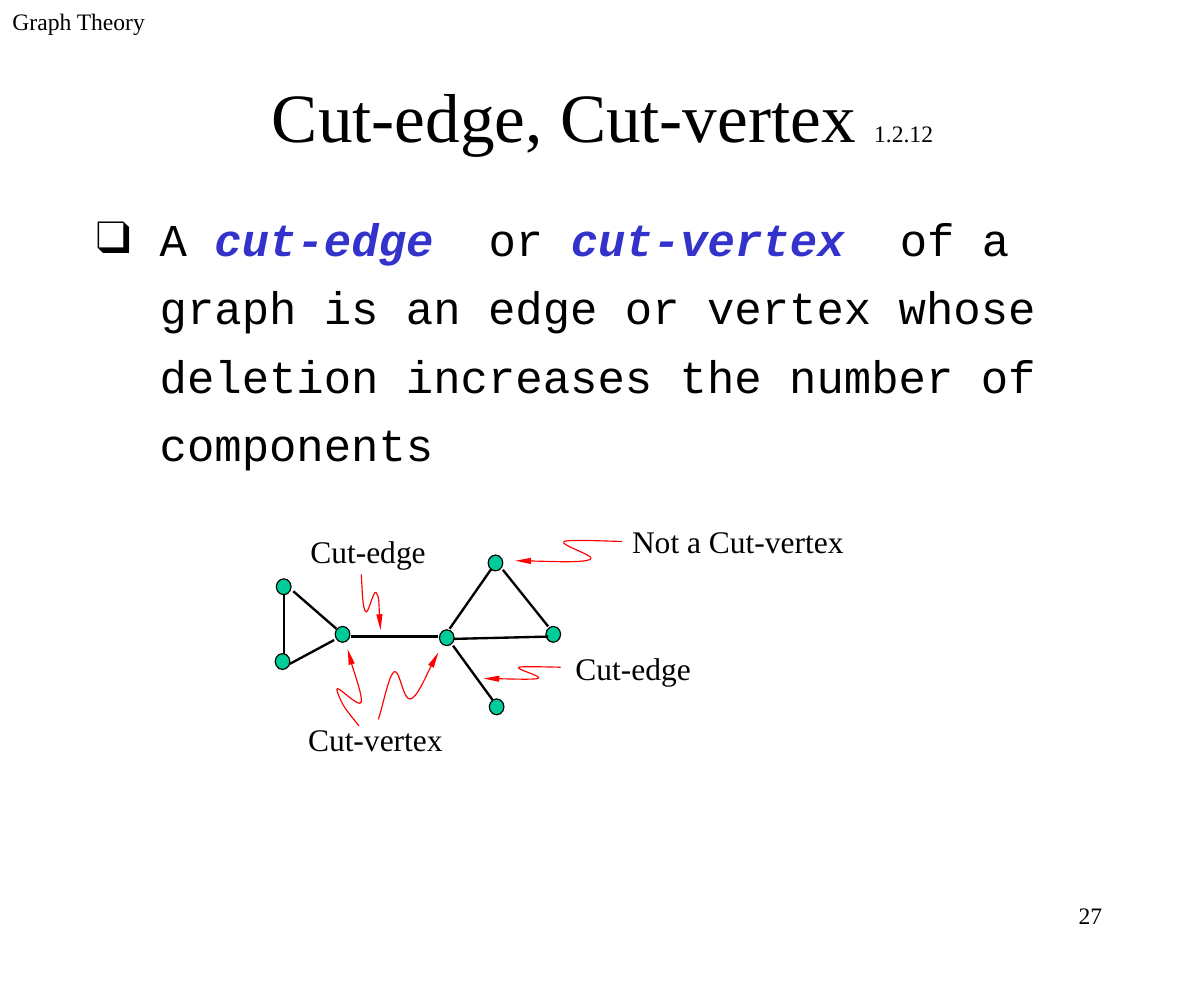
"""Build the slide that defines cut-edges and cut-vertices of a graph."""
import dataclasses

import lxml.etree
import pptx
import pptx.dml.color
import pptx.enum.shapes
import pptx.enum.text
import pptx.oxml.ns
import pptx.util

Inches = pptx.util.Inches
Pt = pptx.util.Pt
Align = pptx.enum.text.PP_ALIGN
Anchor = pptx.enum.text.MSO_ANCHOR
qn = pptx.oxml.ns.qn


@dataclasses.dataclass(frozen=True)
class Theme:
    ink: str = "000000"
    term: str = "3333CC"
    vertex: str = "00CC99"
    pointer: str = "FF0000"
    serif: str = "Times New Roman"
    mono: str = "Courier New"
    title: int = 44
    body: int = 29
    label: int = 20
    small: int = 15
    edge_width: float = 1.5
    thin_width: float = 0.75


THEME = Theme()

VERTICES = [(2.44, 5.11), (2.43, 5.77), (2.96, 5.53), (3.88, 5.56),
            (4.31, 4.9), (4.82, 5.53), (4.32, 6.17)]
EDGES = [
    ((2.51, 5.24), (2.51, 5.77)),
    ((2.59, 5.22), (2.97, 5.55)),
    ((2.56, 5.86), (2.95, 5.65)),
    ((3.1, 5.62), (3.87, 5.62)),
    ((4.34, 5.02), (3.97, 5.55)),
    ((4, 5.7), (4.35, 6.18)),
    ((4.44, 5.03), (4.84, 5.53)),
    ((4.01, 5.64), (4.84, 5.62)),
]
LABELS = [
    ("Not a Cut-vertex", (5.47, 4.55, 2.18, 0.44)),
    ("Cut-edge", (2.63, 4.64, 1.66, 0.44)),
    ("Cut-edge", (4.97, 5.67, 1.67, 0.44)),
    ("Cut-vertex", (2.61, 6.3, 1.66, 0.44)),
]
POINTERS = [
    [(3.19, 5.07), (3.2, 5.22), (3.2, 5.37), (3.23, 5.4), (3.25, 5.43),
     (3.3, 5.2), (3.32, 5.23), (3.35, 5.26), (3.35, 5.5), (3.36, 5.56)],
    [(4.95, 5.89), (4.89, 5.89), (4.61, 5.88), (4.58, 5.89), (4.55, 5.91),
     (4.8, 5.97), (4.75, 5.99), (4.7, 6), (4.37, 5.99), (4.27, 5.99)],
    [(3.17, 6.41), (3.15, 6.38), (3.08, 6.3), (3.04, 6.24), (3.01, 6.19),
     (2.96, 6.08), (2.98, 6.08), (3, 6.07), (3.17, 6.25), (3.19, 6.2),
     (3.2, 6.14), (3.09, 5.83), (3.07, 5.73)],
    [(3.34, 6.35), (3.37, 6.28), (3.43, 5.96), (3.48, 5.93), (3.53, 5.9),
     (3.56, 6.2), (3.63, 6.17), (3.69, 6.14), (3.82, 5.84), (3.87, 5.76)],
    [(5.49, 4.78), (5.41, 4.78), (5.03, 4.76), (4.98, 4.78), (4.93, 4.81),
     (5.28, 4.91), (5.21, 4.94), (5.14, 4.97), (4.69, 4.95), (4.55, 4.95)],
]


def rgb(code):
    return pptx.dml.color.RGBColor.from_string(code)


def set_line(line, color, width):
    line.color.rgb = rgb(color)
    line.width = Pt(width)


def add_bullet(paragraph, mark):
    properties = paragraph._p.get_or_add_pPr()
    indent = Inches(0.56)
    properties.set("marL", str(indent))
    properties.set("indent", str(-indent))
    lxml.etree.SubElement(properties, qn("a:buFont")).set(
        "typeface", THEME.serif)
    lxml.etree.SubElement(properties, qn("a:buChar")).set("char", mark)


def add_text(slide, box, runs, size=THEME.label, font=THEME.serif,
             align=Align.LEFT, anchor=Anchor.TOP, spacing=None, bullet=None):
    frame = slide.shapes.add_textbox(*map(Inches, box)).text_frame
    frame.word_wrap = True
    frame.vertical_anchor = anchor
    frame.margin_left = frame.margin_right = Inches(0.11)
    frame.margin_top = frame.margin_bottom = Inches(0.06)
    paragraph = frame.paragraphs[0]
    paragraph.alignment = align
    if spacing:
        paragraph.line_spacing = spacing
    if bullet:
        add_bullet(paragraph, bullet)
    for text, changes in runs:
        run = paragraph.add_run()
        run.text = text
        run.font.name = font
        run.font.size = Pt(changes.get("size", size))
        run.font.color.rgb = rgb(changes.get("color", THEME.ink))
        run.font.bold = run.font.italic = changes.get("emphasis", False)


def add_vertex(slide, left, top):
    vertex = slide.shapes.add_shape(
        pptx.enum.shapes.MSO_SHAPE.OVAL,
        Inches(left), Inches(top), Inches(0.13), Inches(0.14))
    vertex.shadow.inherit = False
    vertex.fill.solid()
    vertex.fill.fore_color.rgb = rgb(THEME.vertex)
    set_line(vertex.line, THEME.ink, THEME.thin_width)


def add_edge(slide, start, end):
    edge = slide.shapes.add_connector(
        pptx.enum.shapes.MSO_CONNECTOR.STRAIGHT, *map(Inches, start + end))
    set_line(edge.line, THEME.ink, THEME.edge_width)
    lxml.etree.SubElement(edge._element.spPr, qn("a:effectLst"))


def bend(outline):
    """Turn every three straight segments into one cubic curve."""
    segments = outline.findall(qn("a:lnTo"))
    for first in range(0, len(segments), 3):
        curve = lxml.etree.SubElement(outline, qn("a:cubicBezTo"))
        for segment in segments[first:first + 3]:
            curve.append(segment[0])
            outline.remove(segment)


def add_pointer(slide, controls):
    start, *rest = [(Inches(x), Inches(y)) for x, y in controls]
    builder = slide.shapes.build_freeform(*start)
    builder.add_line_segments(rest, close=False)
    pointer = builder.convert_to_shape()
    bend(next(pointer._element.iter(qn("a:path"))))
    pointer.shadow.inherit = False
    pointer.fill.background()
    set_line(pointer.line, THEME.pointer, THEME.thin_width)
    arrowhead = lxml.etree.SubElement(
        pointer.line._get_or_add_ln(), qn("a:tailEnd"))
    for key, value in (("type", "triangle"), ("w", "sm"), ("len", "lg")):
        arrowhead.set(key, value)


def main():
    deck = pptx.Presentation()
    deck.slide_width, deck.slide_height = Inches(10.63), Inches(8.66)
    slide = deck.slides.add_slide(deck.slide_layouts[6])

    add_text(slide, (0, 0, 2.22, 0.58), [("Graph Theory", {})],
             size=THEME.small)
    add_text(slide, (7.62, 7.89, 2.22, 0.58), [("27", {})],
             size=THEME.small, align=Align.RIGHT)
    add_text(slide, (0.8, 0.39, 9.04, 1.25),
             [("Cut-edge, Cut-vertex ", {}), ("1.2.12", {"size": THEME.small})],
             size=THEME.title, align=Align.CENTER, anchor=Anchor.MIDDLE)
    term = {"color": THEME.term, "emphasis": True}
    definition = [
        ("A ", {}), ("cut-edge", term), ("  or ", {}), ("cut-vertex  ", term),
        ("of a graph is an edge or vertex whose deletion increases "
         "the number of components", {}),
    ]
    add_text(slide, (0.74, 1.68, 9.04, 2.42), definition, size=THEME.body,
             font=THEME.mono, spacing=1.25, bullet="❑")

    for left, top in VERTICES:
        add_vertex(slide, left, top)
    for start, end in EDGES:
        add_edge(slide, start, end)
    for text, box in LABELS:
        add_text(slide, box, [(text, {})])
    for controls in POINTERS:
        add_pointer(slide, controls)
    deck.save("out.pptx")


if __name__ == "__main__":
    main()
